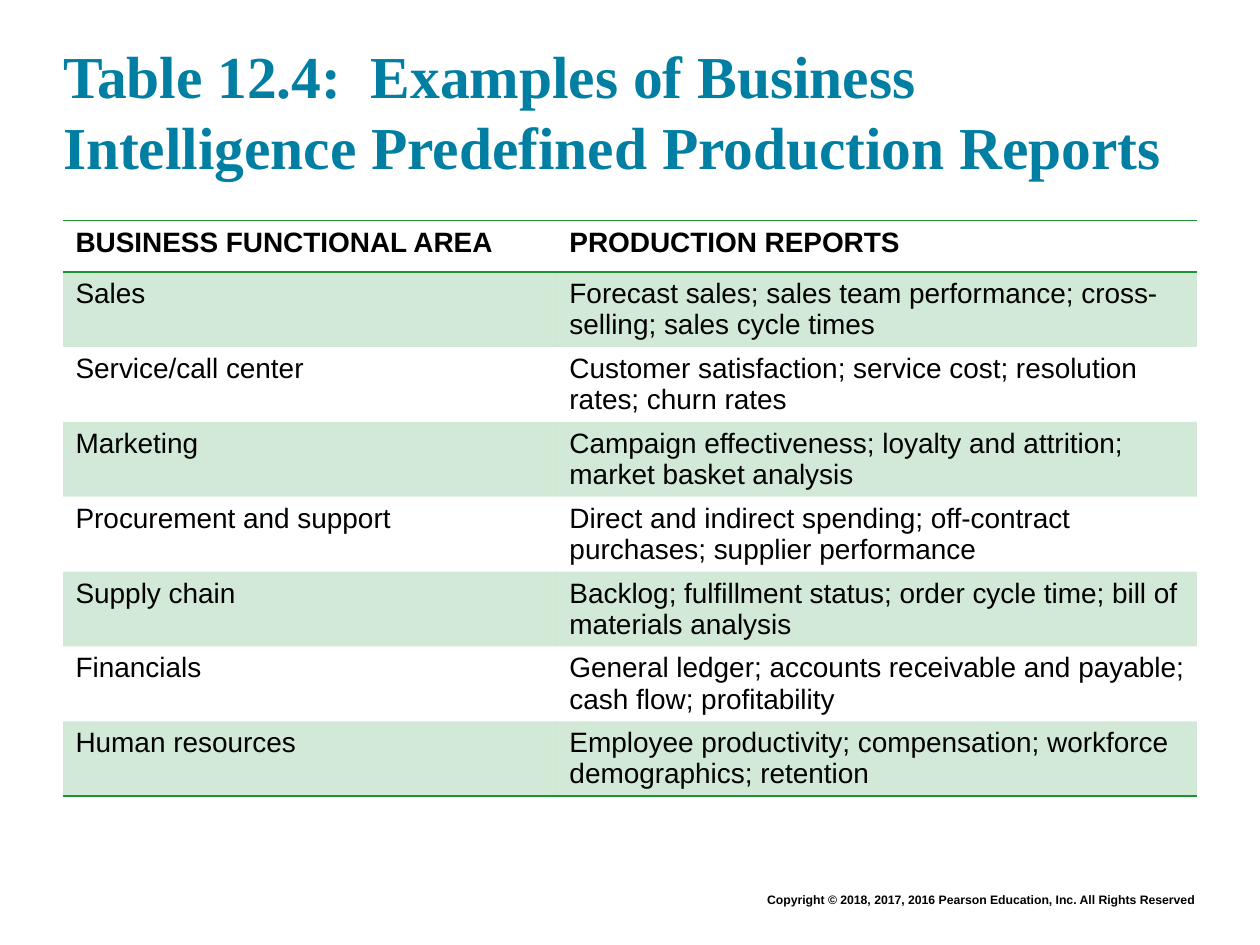
"""Build the slide of business intelligence production reports."""
import pptx
import pptx.dml.color
import pptx.enum.text
import pptx.oxml
import pptx.oxml.ns
import pptx.util
from lxml import etree

Inches = pptx.util.Inches
Pt = pptx.util.Pt
ALIGN = pptx.enum.text.PP_ALIGN
ANCHOR = pptx.enum.text.MSO_ANCHOR

COLORS = {"title": "007FA3", "text": "000000", "green": "1B9332"}
TITLE = "Table 12.4:  Examples of Business Intelligence Predefined Production Reports"
COPYRIGHT = "Copyright © 2018, 2017, 2016 Pearson Education, Inc. All Rights Reserved"
ROWS = [
    ("BUSINESS FUNCTIONAL AREA", "PRODUCTION REPORTS"),
    ("Sales", "Forecast sales; sales team performance; cross-selling; sales cycle times"),
    ("Service/call center", "Customer satisfaction; service cost; resolution rates; churn rates"),
    ("Marketing", "Campaign effectiveness; loyalty and attrition; market basket analysis"),
    ("Procurement and support", "Direct and indirect spending; off-contract purchases; supplier performance"),
    ("Supply chain", "Backlog; fulfillment status; order cycle time; bill of materials analysis"),
    ("Financials", "General ledger; accounts receivable and payable; cash flow; profitability"),
    ("Human resources", "Employee productivity; compensation; workforce demographics; retention"),
]
COLUMN_WIDTHS = (3.92, 5.08)
ROW_HEIGHT = 0.41
BORDERS = {0: ("lnT", "lnB"), len(ROWS) - 1: ("lnB",)}
BAND_ALPHA = 20
NO_STYLE = "{2D5ABB26-0587-4C30-8999-92F81FD0307C}"

TITLE_FONT = {"name": "Times New Roman", "size": Pt(34), "bold": True}
COPYRIGHT_FONT = {"name": "Arial", "size": Pt(7), "bold": True}
CELL_FONT = {"name": "Arial", "size": Pt(16)}
TITLE_FRAME = {
    "margin_left": 0, "margin_right": 0, "margin_top": 0, "margin_bottom": 0,
    "vertical_anchor": ANCHOR.BOTTOM, "word_wrap": True,
    "auto_size": pptx.enum.text.MSO_AUTO_SIZE.NONE,
}


def apply(target, values):
    for name, value in values.items():
        setattr(target, name, value)


def write(frame, text, font, color, alignment=ALIGN.LEFT):
    frame.text = text
    paragraph = frame.paragraphs[0]
    paragraph.alignment = alignment
    run = paragraph.runs[0]
    apply(run.font, font)
    run.font.color.rgb = pptx.dml.color.RGBColor.from_string(COLORS[color])


def place(shape, left, top, width, height):
    apply(shape, {"left": Inches(left), "top": Inches(top),
                  "width": Inches(width), "height": Inches(height)})


def fill_band(cell):
    cell.fill.solid()
    cell.fill.fore_color.rgb = pptx.dml.color.RGBColor.from_string(COLORS["green"])
    color = cell._tc.tcPr.find(".//" + pptx.oxml.ns.qn("a:srgbClr"))
    etree.SubElement(color, pptx.oxml.ns.qn("a:alpha"), val=str(BAND_ALPHA * 1000))


def add_borders(cell, sides):
    for position, side in enumerate(sides):
        border = pptx.oxml.parse_xml(
            f'<a:{side} {pptx.oxml.ns.nsdecls("a")} w="{Pt(1)}"><a:solidFill>'
            f'<a:srgbClr val="{COLORS["green"]}"/></a:solidFill></a:{side}>')
        cell._tc.get_or_add_tcPr().insert(position, border)


def add_reports_table(slide):
    frame = slide.shapes.add_table(
        len(ROWS), len(COLUMN_WIDTHS), Inches(0.5), Inches(1.75),
        Inches(sum(COLUMN_WIDTHS)), Inches(ROW_HEIGHT * len(ROWS)))
    table = frame.table
    table.horz_banding = False
    table._tbl.tblPr.find(pptx.oxml.ns.qn("a:tableStyleId")).text = NO_STYLE
    for column, width in zip(table.columns, COLUMN_WIDTHS):
        column.width = Inches(width)
    for row_index, texts in enumerate(ROWS):
        table.rows[row_index].height = Inches(ROW_HEIGHT)
        for column_index, text in enumerate(texts):
            cell = table.cell(row_index, column_index)
            write(cell.text_frame, text, {**CELL_FONT, "bold": row_index == 0}, "text")
            if row_index % 2:
                fill_band(cell)
            else:
                cell.fill.background()
            add_borders(cell, BORDERS.get(row_index, ()))


def main():
    presentation = pptx.Presentation()
    apply(presentation, {"slide_width": Inches(10), "slide_height": Inches(7.5)})
    slide = presentation.slides.add_slide(presentation.slide_layouts[5])

    title = slide.shapes.title
    place(title, 0.5, 0.24, 9, 1.2)
    apply(title.text_frame, TITLE_FRAME)
    write(title.text_frame, TITLE, TITLE_FONT, "title")

    add_reports_table(slide)

    copyright_box = slide.shapes.add_textbox(
        Inches(1.75), Inches(7.03), Inches(7.83), Inches(0.22))
    copyright_box.text_frame.word_wrap = True
    write(copyright_box.text_frame, COPYRIGHT, COPYRIGHT_FONT, "text", ALIGN.RIGHT)

    presentation.save("out.pptx")


if __name__ == "__main__":
    main()
